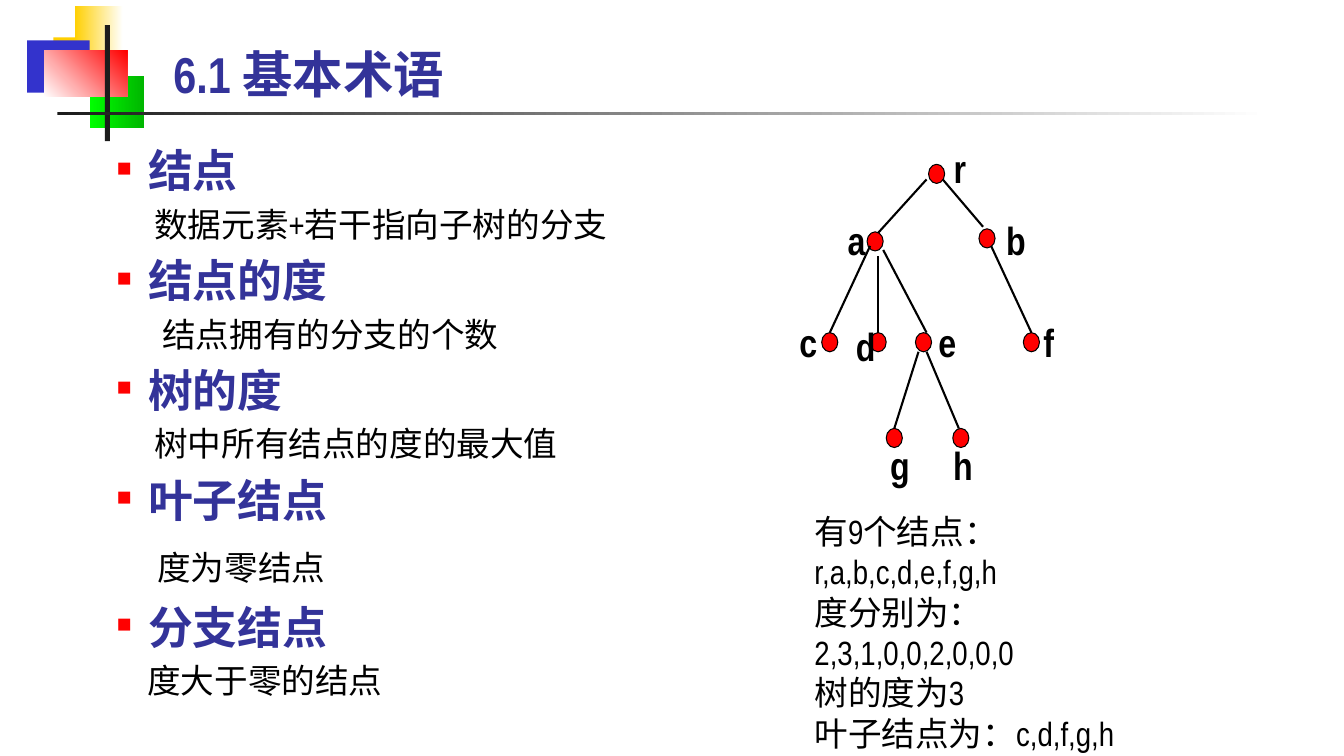
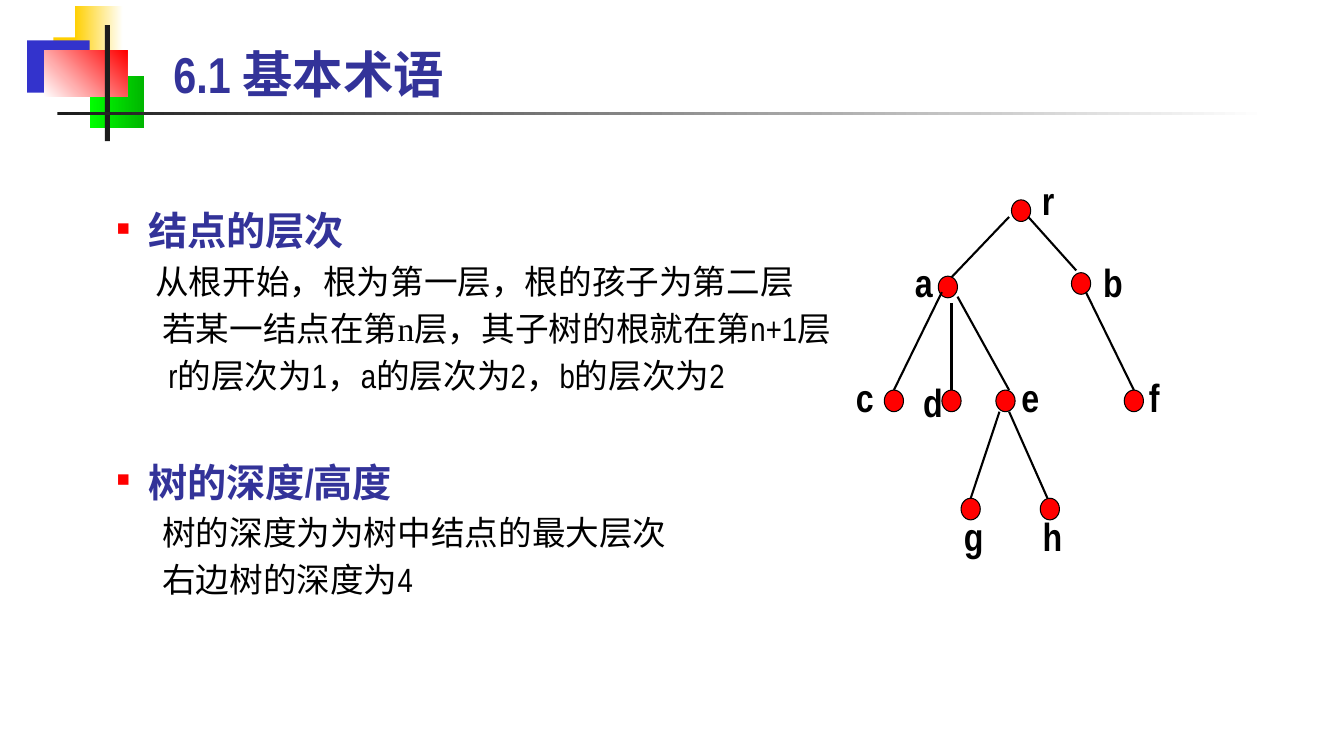
from dataclasses import dataclass

from lxml.etree import SubElement
from pptx import Presentation
from pptx.dml.color import RGBColor
from pptx.enum.shapes import MSO_CONNECTOR as CONN, MSO_SHAPE as SHAPE
from pptx.enum.text import MSO_ANCHOR as ANCHOR, MSO_AUTO_SIZE as FIT, PP_ALIGN as ALIGN
from pptx.oxml.ns import qn
from pptx.util import Inches, Pt

NARROW, ROMAN = "Arial Narrow", "Times New Roman"
BLUE, RED, BLACK, WHITE = "333399", "FF0000", "000000", "FFFFFF"
DARK, GOLD, ROYAL = "1C1C1C", "FFCF01", "3333CC"
LIME, GREEN = "00FF00", "00B600"
DOT_W, DOT_H, LABEL_H = 0.16, 0.19, 0.53


@dataclass(frozen=True)
class Band:
    x: float
    y: float
    w: float
    h: float
    colors: tuple[str, ...]
    angle: int = 0


@dataclass(frozen=True)
class Span:
    text: str
    font: str = NARROW


@dataclass(frozen=True)
class Line:
    spans: tuple[Span, ...]
    margin: float
    before: float = 4.8


@dataclass(frozen=True)
class Topic:
    heading: str
    lines: tuple[Line, ...]
    before: float


@dataclass(frozen=True)
class Node:
    label: str
    x: float
    y: float
    label_x: float
    label_y: float
    label_w: float = 0.3


@dataclass(frozen=True)
class Edge:
    x1: float
    y1: float
    x2: float
    y2: float


@dataclass(frozen=True)
class Frame:
    x: float
    y: float
    sx: float = 1
    sy: float = 1

    def at(self, x: float, y: float) -> tuple[int, int]:
        return Inches(self.x + x * self.sx), Inches(self.y + y * self.sy)

    def size(self, w: float, h: float) -> tuple[int, int]:
        return Inches(w * self.sx), Inches(h * self.sy)


def line(text: str, margin: float, before: float = 4.8) -> Line:
    return Line((Span(text),), margin, before)


BANDS = (
    Band(0.53, 0.37, 0.64, 0.52, (GOLD,)),
    Band(0.74, 0.06, 0.48, 0.52, (GOLD, WHITE)),
    Band(0.27, 0.4, 0.62, 0.52, (ROYAL,)),
    Band(0.89, 0.75, 0.54, 0.52, (LIME, GREEN)),
    Band(0.44, 0.5, 0.82, 0.46, (WHITE, RED), 45),
    Band(1.04, 0.25, 0.05, 1.15, (DARK,)),
    Band(0.57, 1.11, 12, 0.03, (DARK, WHITE)),
)

NODES = (
    Node("r", 1.38, 0.25, 1.53, 0, 0.31),
    Node("a", 0.77, 0.92, 0.48, 0.72, 0.34),
    Node("b", 1.88, 0.89, 2.05, 0.72, 0.35),
    Node("c", 0.32, 1.92, 0, 1.73),
    Node("d", 0.8, 1.92, 0.56, 1.77),
    Node("e", 1.25, 1.92, 1.38, 1.73),
    Node("f", 2.32, 1.92, 2.42, 1.73),
    Node("g", 0.96, 2.87, 0.9, 2.95),
    Node("h", 1.62, 2.87, 1.52, 2.95, 0.4),
)

EDGES = (
    Edge(1.36, 0.4, 0.88, 0.93),
    Edge(1.52, 0.4, 1.92, 0.87),
    Edge(0.8, 1.06, 0.4, 1.92),
    Edge(0.88, 1.16, 0.88, 1.92),
    Edge(0.93, 1.1, 1.36, 1.92),
    Edge(2, 1.06, 2.4, 1.92),
    Edge(1.28, 2.11, 1.04, 2.87),
    Edge(1.36, 2.11, 1.68, 2.87),
)

TERMS = (
    Topic("结点", (line("数据元素+若干指向子树的分支", 0.87),), 6.4),
    Topic("结点的度", (line("结点拥有的分支的个数", 0.95),), 6.4),
    Topic("树的度", (line("树中所有结点的度的最大值", 0.87),), 6.4),
    Topic("叶子结点", (line("度为零结点", 0.9, 15),), 6.4),
    Topic("分支结点", (line("度大于零的结点", 0.8),), 8.5),
)

LEVELS = (
    Topic("结点的层次", (
        line("从根开始，根为第一层，根的孩子为第二层", 0.88),
        Line((Span("若某一结点在第"), Span("n", ROMAN), Span("层，其子树的根就在第n+1层")), 0.95),
        line("r的层次为1，a的层次为2，b的层次为2", 1.01),
    ), 5.6),
    Topic("树的深度/高度", (
        line("树的深度为为树中结点的最大层次", 0.95),
        line("右边树的深度为4", 0.95),
    ), 45),
)

FACTS = (
    "有9个结点：r,a,b,c,d,e,f,g,h",
    "度分别为：2,3,1,0,0,2,0,0,0",
    "树的度为3",
    "叶子结点为：c,d,f,g,h",
)


def rgb(color: str) -> RGBColor:
    return RGBColor.from_string(color)


def place(s, x: float, y: float, w: float, h: float) -> None:
    s.left, s.top, s.width, s.height = Inches(x), Inches(y), Inches(w), Inches(h)


def add_run(p, text: str, size: float, color: str = BLACK, bold: bool = False,
            font: str = NARROW) -> None:
    r = p.add_run()
    r.text = text
    r.font.size, r.font.bold, r.font.name = Pt(size), bold, font
    r.font.color.rgb = rgb(color)


def next_paragraph(tf, first: bool):
    return tf.paragraphs[0] if first else tf.add_paragraph()


def set_indent(p, margin: float, indent: float, bullet: bool) -> None:
    pPr = p._p.get_or_add_pPr()
    pPr.set("marL", str(Inches(margin)))
    pPr.set("indent", str(Inches(indent)))
    if not bullet:
        SubElement(pPr, qn("a:buNone"))
        return
    SubElement(SubElement(pPr, qn("a:buClr")), qn("a:srgbClr"), val=RED)
    SubElement(pPr, qn("a:buSzPct"), val="55000")
    SubElement(pPr, qn("a:buFont"), typeface=NARROW)
    SubElement(pPr, qn("a:buChar"), char="■")


def add_band(shapes, band: Band):
    s = shapes.add_shape(SHAPE.RECTANGLE, 0, 0, 0, 0)
    place(s, band.x, band.y, band.w, band.h)
    s.shadow.inherit = False
    s.line.fill.background()
    if len(band.colors) == 1:
        s.fill.solid()
        s.fill.fore_color.rgb = rgb(band.colors[0])
    else:
        s.fill.gradient()
        s.fill.gradient_angle = band.angle
        for stop, color in zip(s.fill.gradient_stops, band.colors):
            stop.color.rgb = rgb(color)
    return s


def decorate_layout(layout, sl) -> None:
    for ph in list(layout.placeholders):
        if ph.placeholder_format.idx >= 10:
            ph.element.getparent().remove(ph.element)
    place(layout.placeholders[0], 1.62, 0.25, 11.36, 0.83)
    for band in BANDS:
        layout.shapes.element.append(add_band(sl.shapes, band).element)


def fill_title(sl, text: str) -> None:
    tf = sl.shapes.title.text_frame
    tf.vertical_anchor, tf.auto_size = ANCHOR.BOTTOM, FIT.NONE
    p = tf.paragraphs[0]
    p.alignment = ALIGN.LEFT
    add_run(p, text, 36, BLUE, True)


def fill_body(sl, box: tuple[float, float, float, float], topics: tuple[Topic, ...],
              heading_size: float) -> None:
    body = sl.placeholders[1]
    place(body, *box)
    tf = body.text_frame
    tf.auto_size = FIT.NONE
    for i, topic in enumerate(topics):
        p = next_paragraph(tf, i == 0)
        p.space_before = Pt(topic.before)
        set_indent(p, 0.81, -0.31, True)
        add_run(p, topic.heading, heading_size, BLUE, True)
        for item in topic.lines:
            p = tf.add_paragraph()
            p.level, p.space_before = 1, Pt(item.before)
            set_indent(p, item.margin, 0, False)
            for span in item.spans:
                add_run(p, span.text, 24, font=span.font)


def add_tree(sl, frame: Frame) -> None:
    shapes = sl.shapes.add_group_shape().shapes
    for node in NODES:
        s = shapes.add_shape(SHAPE.FLOWCHART_CONNECTOR, *frame.at(node.x, node.y),
                             *frame.size(DOT_W, DOT_H))
        s.shadow.inherit = False
        s.fill.solid()
        s.fill.fore_color.rgb = rgb(RED)
        s.line.color.rgb, s.line.width = rgb(BLACK), Pt(0.75)
    for edge in EDGES:
        c = shapes.add_connector(CONN.STRAIGHT, *frame.at(edge.x1, edge.y1),
                                 *frame.at(edge.x2, edge.y2))
        c.line.color.rgb, c.line.width = rgb(BLACK), Pt(1.5)
        SubElement(c.element.spPr, qn("a:effectLst"))
    for node in NODES:
        s = shapes.add_textbox(*frame.at(node.label_x, node.label_y),
                               *frame.size(node.label_w, LABEL_H))
        s.text_frame.word_wrap = True
        p = s.text_frame.paragraphs[0]
        p.alignment = ALIGN.CENTER
        add_run(p, node.label, 28, bold=True)


def add_facts(sl) -> None:
    s = sl.shapes.add_textbox(Inches(7.98), Inches(5.02), Inches(3.8), Inches(2.45))
    tf = s.text_frame
    tf.word_wrap = True
    for i, fact in enumerate(FACTS):
        add_run(next_paragraph(tf, i == 0), fact, 24)


def main() -> None:
    prs = Presentation()
    prs.slide_width, prs.slide_height = Inches(13.33), Inches(7.5)
    layout = prs.slide_layouts[1]
    terms, levels = (prs.slides.add_slide(layout) for _ in range(2))
    decorate_layout(layout, terms)
    for sl in (terms, levels):
        fill_title(sl, "6.1 基本术语")

    fill_body(terms, (0.56, 1.37, 5.9, 5.16), TERMS, 32)
    add_tree(terms, Frame(7.83, 1.38))
    add_facts(terms)

    fill_body(levels, (0.56, 2, 11.24, 3.96), LEVELS, 28)
    add_tree(levels, Frame(8.39, 1.7, 1.19, 1.13))
    prs.save("out.pptx")


if __name__ == "__main__":
    main()
